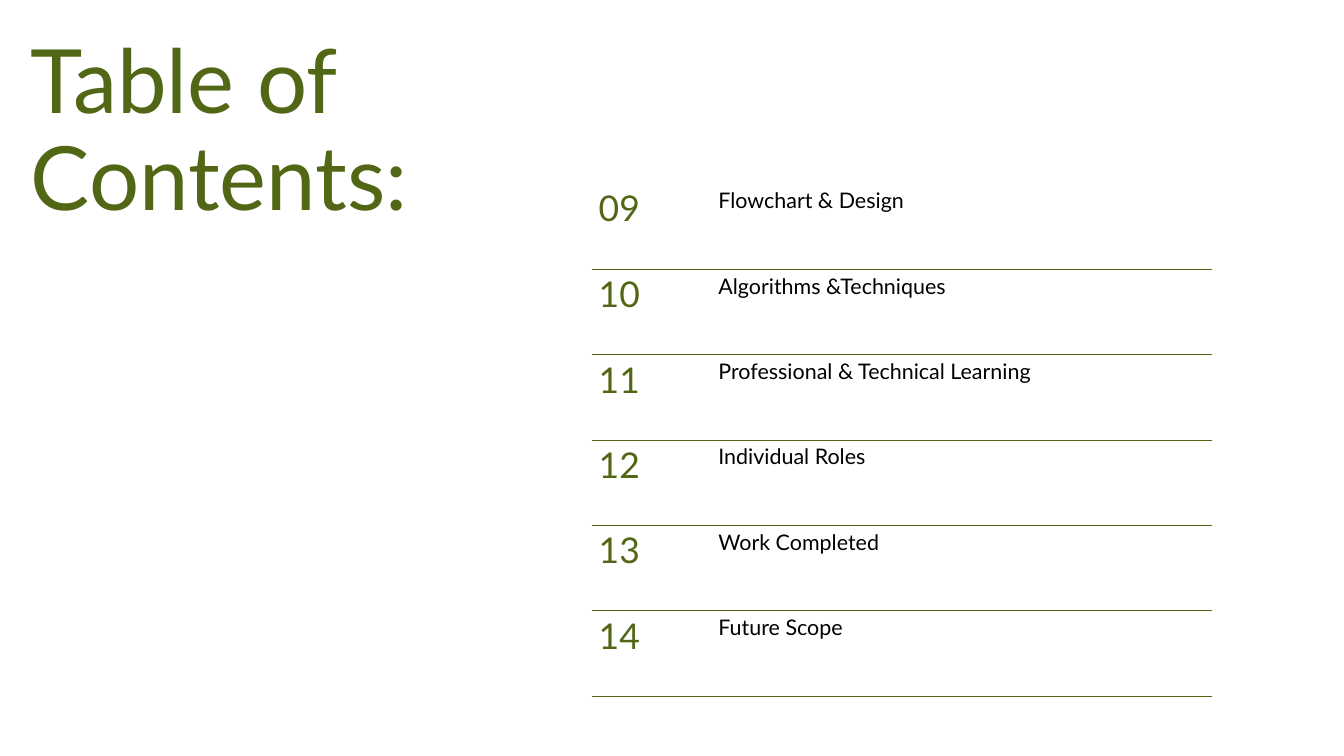
from dataclasses import dataclass

from lxml import etree
from pptx import Presentation
from pptx import util as u
from pptx.dml import color
from pptx.enum import text
from pptx.oxml import ns


@dataclass(frozen=True)
class Theme:
    font: str = "Lato"
    green: str = "526716"
    black: str = "000000"
    white: str = "FFFFFF"
    title_size: float = 95
    title_spacing: float = 104.5
    number_size: float = 38
    topic_size: float = 23
    border_width: float = 0.75


THEME = Theme()
FIRST_NUMBER = 9
TOPICS = [
    "Flowchart & Design",
    "Algorithms &Techniques",
    "Professional & Technical Learning",
    "Individual Roles",
    "Work Completed",
    "Future Scope",
]


def write(text_frame, content, size, hex_color):
    """Set the text of a frame and format its only run."""
    text_frame.text = content
    paragraph = text_frame.paragraphs[0]
    paragraph.alignment = text.PP_ALIGN.LEFT
    font = paragraph.runs[0].font
    font.name = THEME.font
    font.size = u.Pt(size)
    font.bold = False
    font.color.rgb = color.RGBColor.from_string(hex_color)
    return paragraph


def add_borders(cell, **colors):
    """Add cell borders; the sides must come in the order L, R, T, B."""
    properties = cell._tc.get_or_add_tcPr()
    for side, hex_color in colors.items():
        line = etree.SubElement(
            properties, ns.qn(f"a:ln{side}"), w=str(u.Pt(THEME.border_width))
        )
        fill = etree.SubElement(line, ns.qn("a:solidFill"))
        etree.SubElement(fill, ns.qn("a:srgbClr"), val=hex_color)


presentation = Presentation()
presentation.slide_width = u.Inches(20)
presentation.slide_height = u.Inches(11.25)
slide = presentation.slides.add_slide(presentation.slide_layouts[5])
slide.background.fill.solid()
slide.background.fill.fore_color.rgb = color.RGBColor.from_string(THEME.white)

# Title
title = slide.shapes.title
title.left, title.top = u.Inches(0.46), u.Inches(0.5)
title.width, title.height = u.Inches(6.03), u.Inches(2.96)
frame = title.text_frame
frame.margin_left = frame.margin_right = frame.margin_top = frame.margin_bottom = 0
frame.word_wrap = True
frame.auto_size = text.MSO_AUTO_SIZE.NONE
frame.vertical_anchor = text.MSO_ANCHOR.TOP
paragraph = write(frame, "Table of Contents:", THEME.title_size, THEME.green)
paragraph.line_spacing = u.Pt(THEME.title_spacing)

# Contents table
row_height = u.Inches(1.27)
contents = slide.shapes.add_table(
    len(TOPICS), 2, u.Inches(8.81), u.Inches(2.73),
    u.Inches(9.22), row_height * len(TOPICS),
).table
contents.first_row = False
contents.horz_banding = False
contents.columns[0].width = u.Inches(1.78)
contents.columns[1].width = u.Inches(7.44)

for index, topic in enumerate(TOPICS):
    contents.rows[index].height = row_height
    number_cell, topic_cell = contents.rows[index].cells
    number = f"{FIRST_NUMBER + index:02d}"
    write(number_cell.text_frame, number, THEME.number_size, THEME.green)
    write(topic_cell.text_frame, topic, THEME.topic_size, THEME.black)
    top_color = THEME.green if index else THEME.white
    for cell in (number_cell, topic_cell):
        cell.vertical_anchor = text.MSO_ANCHOR.TOP
        add_borders(cell, L=THEME.white, R=THEME.white, T=top_color, B=THEME.green)
        cell.fill.background()
contents.rows[0].height = u.Inches(1.28)

presentation.save("out.pptx")
